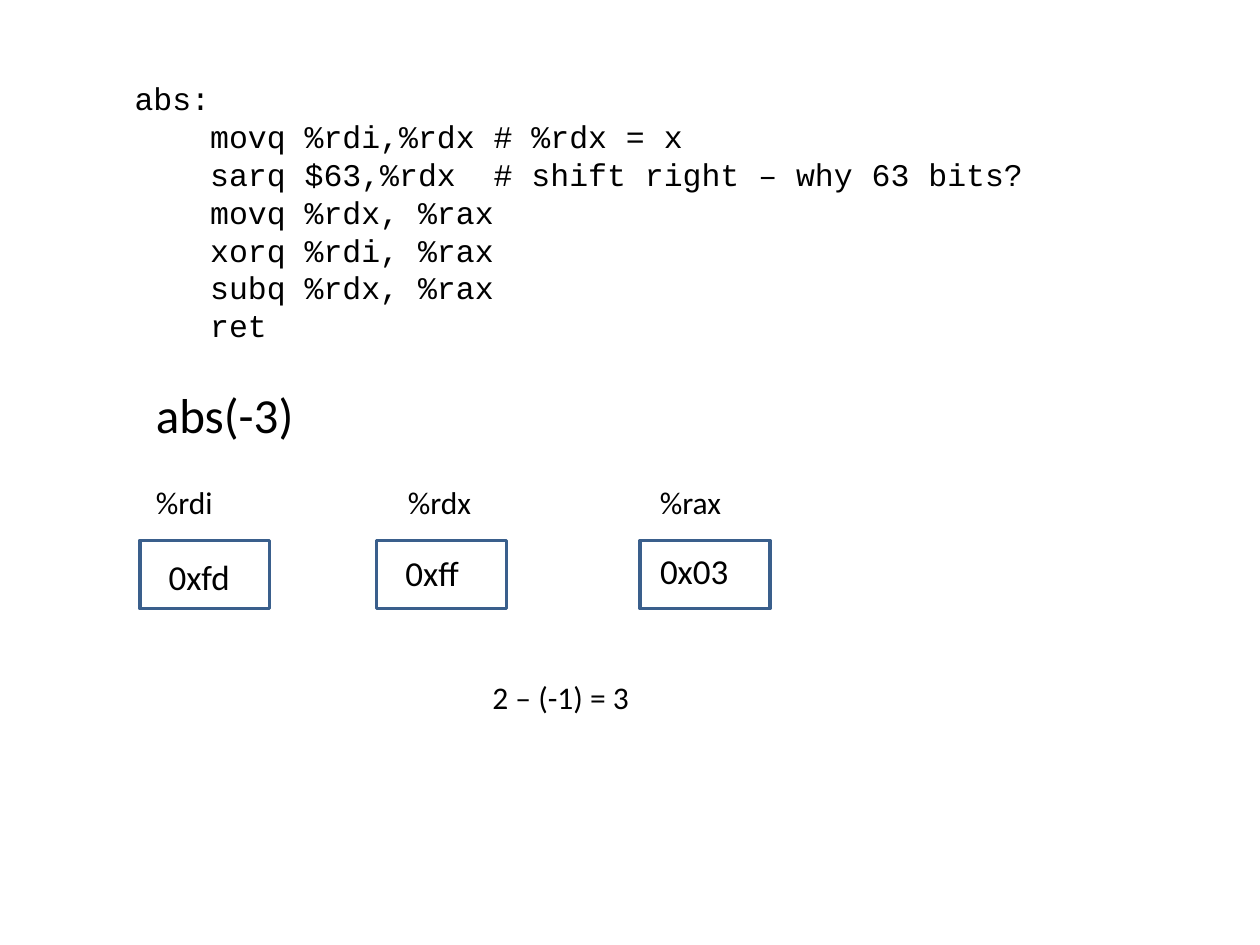
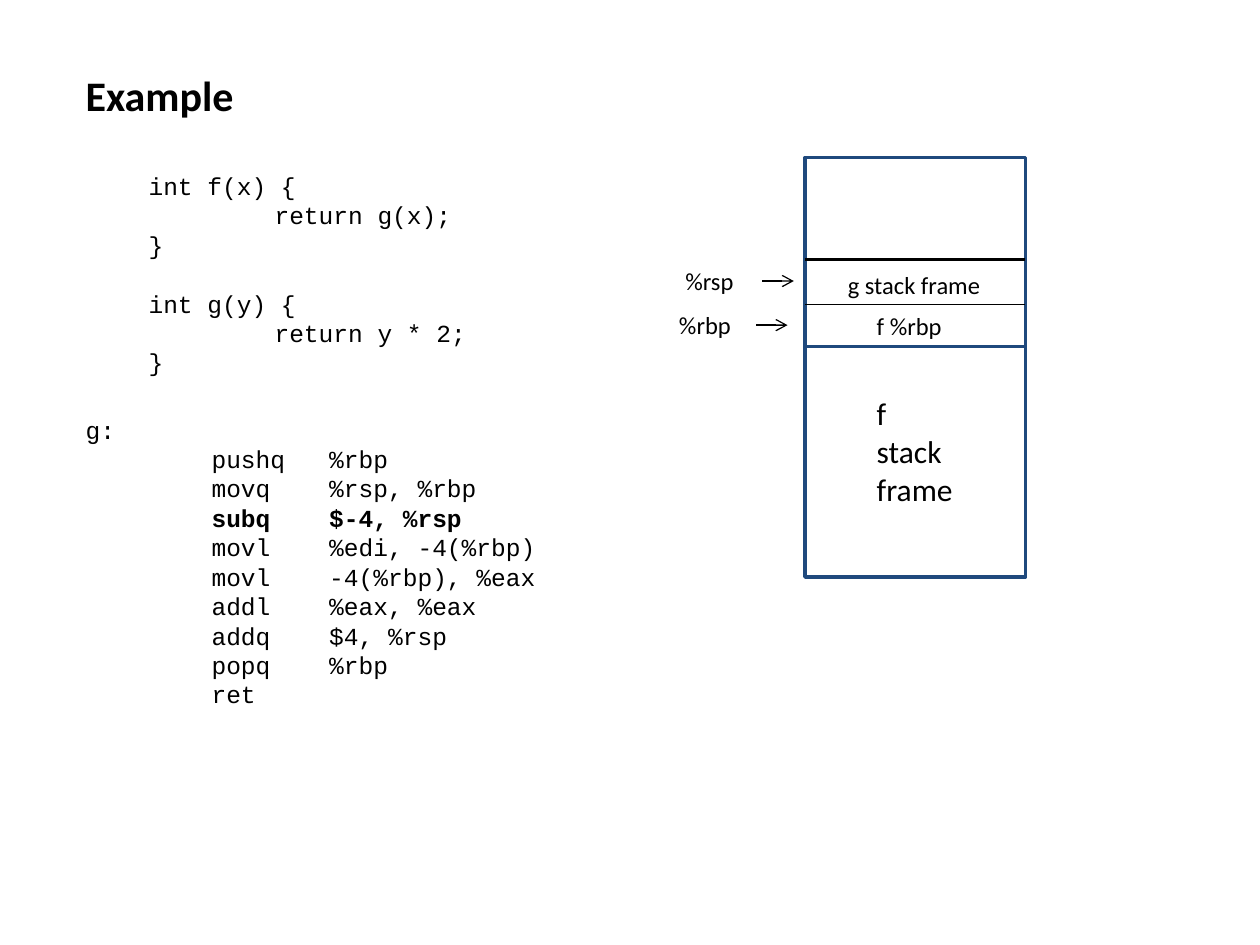
from lxml.etree import SubElement
from pptx import Presentation
from pptx.dml.color import RGBColor
from pptx.enum.shapes import MSO_CONNECTOR, MSO_SHAPE
from pptx.oxml.ns import qn
from pptx.util import Pt

SANS = "Calibri"
MONO = "Courier New"
BLACK = "000000"
WHITE = "FFFFFF"
REGISTER_BLUE = "3A5F8C"
STACK_BLUE = "1F497D"

ABS_CODE = """abs:
    movq %rdi,%rdx # %rdx = x
    sarq $63,%rdx  # shift right – why 63 bits?
    movq %rdx, %rax
    xorq %rdi, %rax
    subq %rdx, %rax
    ret"""

G_ASSEMBLY = """pushq   %rbp
movq    %rsp, %rbp
subq    $-4, %rsp
movl    %edi, -4(%rbp)
movl    -4(%rbp), %eax
addl    %eax, %eax
addq    $4, %rsp
popq    %rbp
ret"""

C_FUNCTIONS = [
    ("int f(x) {", "return g(x);", 29.3),
    ("int g(y) {", "return y * 2;", 16.8),
]


def color(hex_code):
    return RGBColor.from_string(hex_code)


def add_box(page, left, top, width, height, wrap=True):
    box = page.shapes.add_textbox(Pt(left), Pt(top), Pt(width), Pt(height))
    box.text_frame.word_wrap = wrap
    return box


def write(box, text, size=18, font=SANS, bold=False, indent=0, before=0):
    frame = box.text_frame
    first = frame.paragraphs[0]
    para = frame.add_paragraph() if first.runs else first
    if indent:
        properties = para._p.get_or_add_pPr()
        properties.set("marL", str(Pt(indent)))
        properties.set("indent", "0")
    if before:
        para.space_before = Pt(before)
    span = para.add_run()
    span.text = text
    span.font.size = Pt(size)
    span.font.name = font
    span.font.bold = bold
    span.font.color.rgb = color(BLACK)


def add_label(page, text, left, top, width, height, size=18, wrap=True):
    box = add_box(page, left, top, width, height, wrap)
    for line in text.split("\n"):
        write(box, line, size=size)


def add_frame(page, left, top, width, height, line, fill=None):
    frame = page.shapes.add_shape(
        MSO_SHAPE.RECTANGLE, Pt(left), Pt(top), Pt(width), Pt(height))
    frame.shadow.inherit = False
    if fill:
        frame.fill.solid()
        frame.fill.fore_color.rgb = color(fill)
    else:
        frame.fill.background()
    frame.line.color.rgb = color(line)
    frame.line.width = Pt(2)


def add_rule(page, left, right, height, line=BLACK, weight=0.75, arrow=False):
    rule = page.shapes.add_connector(
        MSO_CONNECTOR.STRAIGHT, Pt(left), Pt(height), Pt(right), Pt(height))
    rule.line.color.rgb = color(line)
    rule.line.width = Pt(weight)
    if arrow:
        SubElement(rule.line._get_or_add_ln(), qn("a:tailEnd"), type="arrow")
    SubElement(rule._element.spPr, qn("a:effectLst"))


def build_abs_page(page):
    code = add_box(page, 69.8, 41.8, 546.5, 181.4)
    for line in ABS_CODE.split("\n"):
        write(code, line, font=MONO)

    add_label(page, "abs(-3)", 82, 216, 340, 41.2, size=28)
    registers = [
        ("%rdi", 79.9, "0xfd", 89.3, 313.9),
        ("%rdx", 215.3, "0xff", 224.6, 311.8),
        ("%rax", 365.8, "0x03", 370.1, 310.3),
    ]
    for index, (name, frame_left, value, left, top) in enumerate(registers):
        add_label(page, name, 82 + 144 * index, 272.2, 72, 29)
        add_frame(page, frame_left, 308.9, 74.2, 38.9, REGISTER_BLUE)
        add_label(page, value, left, top, 54.7, 31.7, size=20)

    add_label(page, "2 – (-1) = 3", 274.3, 383.8, 137.5, 28.8)


def build_code_listing(page):
    listing = add_box(page, 41.8, 36, 303, 392.4)
    write(listing, "Example", size=24, bold=True)
    for opening, body, gap in C_FUNCTIONS:
        write(listing, opening, 14, MONO, indent=36, before=gap)
        write(listing, body, 14, MONO, indent=108)
        write(listing, "}", 14, MONO, indent=36)
    write(listing, "g:", 14, MONO, before=21.6)
    for line in G_ASSEMBLY.split("\n"):
        write(listing, line, 14, MONO, bold=line.startswith("subq"), indent=72)


def build_stack(page):
    left, width = 460, 126
    right = left + width
    add_frame(page, left, 90, width, 239.8, STACK_BLUE, WHITE)
    add_rule(page, left, right, 148.3, weight=1.5)
    add_rule(page, left, right, 174.2)
    add_rule(page, left, right, 198, STACK_BLUE, 1.5)

    add_label(page, "g stack frame", 477.4, 150.5, 90.7, 24.5, 14, wrap=False)
    add_label(page, "f %rbp", 493.9, 174.2, 51.8, 24.5, 14, wrap=False)
    add_label(page, "f\nstack\nframe", 493.9, 221.8, 58.3, 72.7, wrap=False)

    pointers = [
        ("%rsp", 384.5, 148.3, 42.5, 435.6, 160.6),
        ("%rbp", 380.9, 173.5, 44.6, 432, 185.8),
    ]
    for name, label_left, top, label_width, start, height in pointers:
        add_label(page, name, label_left, top, label_width, 24.5, 14, wrap=False)
        add_rule(page, start, start + 18, height, arrow=True)


def main():
    deck = Presentation()
    deck.slide_width = Pt(720)
    deck.slide_height = Pt(540)
    blank = deck.slide_layouts[6]
    build_abs_page(deck.slides.add_slide(blank))
    stack_page = deck.slides.add_slide(blank)
    build_code_listing(stack_page)
    build_stack(stack_page)
    deck.save("out.pptx")


if __name__ == "__main__":
    main()
